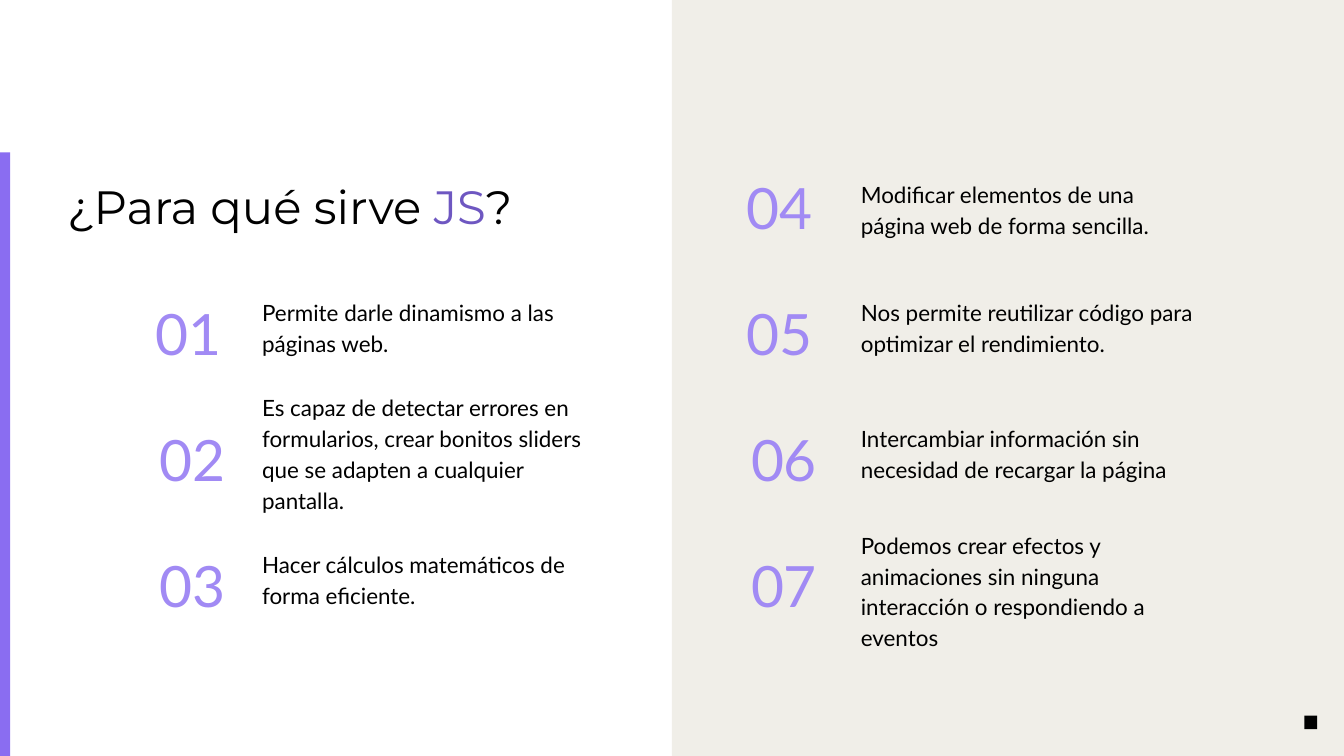
from pptx import Presentation
from pptx.dml.color import RGBColor
from pptx.enum.shapes import MSO_SHAPE as Kind
from pptx.enum.text import MSO_ANCHOR as Anchor, MSO_AUTO_SIZE as Fit, PP_ALIGN as Align
from pptx.util import Pt

BLACK, LILAC, VIOLET = "000000", "A18AF4", "6E57C1"
TOP, STEP = 177.8, 135
LEFT = (166.3, 280.8)
RIGHT = (800, 922.3)
ITEMS = [
    (LEFT, 1, "Permite darle dinamismo a las páginas web.", 103.7, 0),
    (LEFT, 2, "Es capaz de detectar errores en formularios, crear bonitos "
     "sliders que se adapten a cualquier pantalla.", 103.7, 0),
    (LEFT, 3, "Hacer cálculos matemáticos de forma eficiente.", 103.7, 0),
    (RIGHT, 0, "Modificar elementos de una página web de forma sencilla.", 149.8, 30),
    (RIGHT, 1, "Nos permite reutilizar código para optimizar el rendimiento.", 103.7, 0),
    (RIGHT, 2, "Intercambiar información sin necesidad de recargar la página", 103.7, 0),
    (RIGHT, 3, "Podemos crear efectos y animaciones sin ninguna interacción o "
     "respondiendo a eventos", 157.7, 30),
]


def color(code):
    return RGBColor.from_string(code)


def apply(obj, attrs):
    for key, val in attrs.items():
        setattr(obj, key, val)


def place(shape, left, top, width, height):
    apply(shape, {"left": Pt(left), "top": Pt(top),
                  "width": Pt(width), "height": Pt(height)})


def block(slide, left, top, width, height, code):
    shape = slide.shapes.add_shape(Kind.RECTANGLE, Pt(left), Pt(top), Pt(width), Pt(height))
    shape.shadow.inherit = False
    shape.fill.solid()
    shape.fill.fore_color.rgb = color(code)
    shape.line.fill.background()


def write(shape, runs, size, font, space, anchor=Anchor.TOP, inset=(0, 0, 0, 0)):
    frame = shape.text_frame
    sides = ("margin_left", "margin_top", "margin_right", "margin_bottom")
    apply(frame, {"word_wrap": True, "auto_size": Fit.NONE, "vertical_anchor": anchor})
    apply(frame, {side: Pt(gap) for side, gap in zip(sides, inset)})
    para = frame.paragraphs[0]
    apply(para, {"alignment": Align.LEFT, "line_spacing": space})
    for text, code in runs:
        run = para.add_run()
        run.text = text
        apply(run.font, {"size": Pt(size), "name": font})
        run.font.color.rgb = color(code)


def label(slide, box, text, code, *style):
    shape = slide.shapes.add_textbox(*map(Pt, box))
    write(shape, [(text, code)], *style)


def item(slide, num, cols, row, text, height, extra):
    left, body = cols
    top = TOP + row * STEP
    shift = 4.7 if row > 1 else 0
    label(slide, (body, top - 15, 373, height), text, BLACK,
          24, "Lato", 1.15, Anchor.MIDDLE, (0, 7.2, 7.2, 7.2 + extra))
    label(slide, (left + shift, top, 91.4, 74.2), f"{num:02}", LILAC, 61, "Lato", 1.1)


def main():
    deck = Presentation()
    apply(deck, {"slide_width": Pt(1440), "slide_height": Pt(810)})
    slide = deck.slides.add_slide(deck.slide_layouts[5])
    block(slide, 0, 163.4, 10.8, 646.6, "8A6DF1")
    block(slide, 720, 0, 720, 810, "F0EEE8")
    block(slide, 1397.5, 766.8, 13.7, 14.4, BLACK)
    title = slide.shapes.title
    place(title, 72, 184.3, 581.8, 60.5)
    write(title, [("¿Para qué sirve ", BLACK), ("JS", VIOLET), ("?", BLACK)],
          50, "Montserrat", 1.1)
    for num, entry in enumerate(ITEMS, 1):
        item(slide, num, *entry)
    deck.save("out.pptx")


if __name__ == "__main__":
    main()
